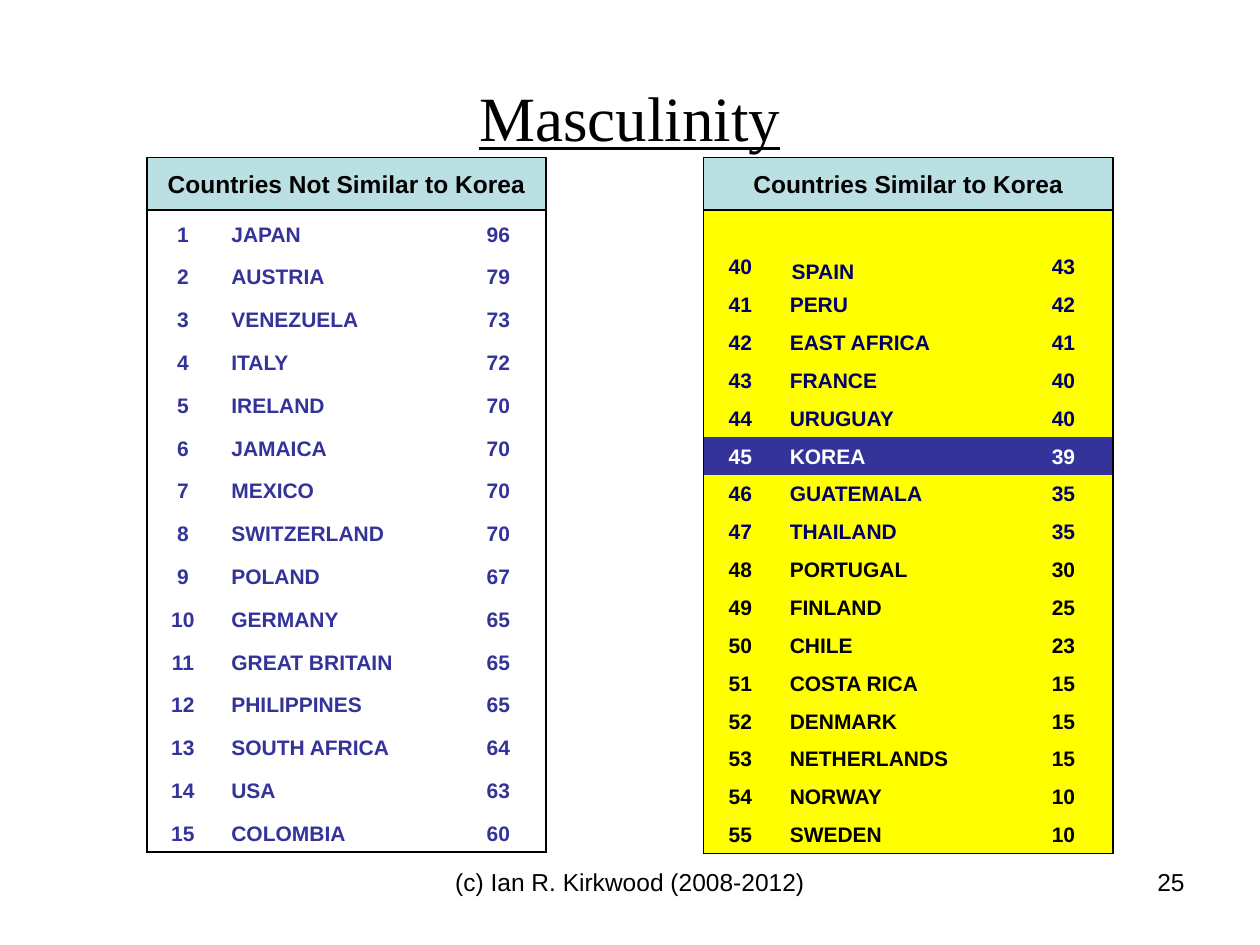
from dataclasses import dataclass

from lxml import etree
from pptx import Presentation
from pptx.dml.color import RGBColor
from pptx.enum.shapes import MSO_SHAPE
from pptx.enum.text import MSO_ANCHOR, PP_ALIGN
from pptx.oxml.ns import qn
from pptx.util import Inches, Pt

RECT = MSO_SHAPE.RECTANGLE
LEFT, CENTER, RIGHT = PP_ALIGN.LEFT, PP_ALIGN.CENTER, PP_ALIGN.RIGHT
TOP, MIDDLE, BOTTOM = MSO_ANCHOR.TOP, MSO_ANCHOR.MIDDLE, MSO_ANCHOR.BOTTOM
TITLE_ONLY = 5
NO_GRID_STYLE = "{2D5ABB26-0587-4C30-8999-92F81FD0307C}"
COLS, ROWS = 120, 90  # layout grid over the whole slide


@dataclass(frozen=True)
class Theme:
    black: str = "000000"
    white: str = "FFFFFF"
    indigo: str = "333399"
    navy: str = "000066"
    yellow: str = "FFFF00"
    header: str = "BBE0E3"
    serif: str = "Times New Roman"
    sans: str = "Arial"
    title_size: int = 36
    label_size: int = 14
    table_size: int = 12


NOT_SIMILAR = [
    ("JAPAN", 96), ("AUSTRIA", 79), ("VENEZUELA", 73), ("ITALY", 72),
    ("IRELAND", 70), ("JAMAICA", 70), ("MEXICO", 70), ("SWITZERLAND", 70),
    ("POLAND", 67), ("GERMANY", 65), ("GREAT BRITAIN", 65),
    ("PHILIPPINES", 65), ("SOUTH AFRICA", 64), ("USA", 63), ("COLOMBIA", 60),
]
# The name for rank 40 sits in its own one-cell table
SIMILAR = [
    ("", 43), ("PERU", 42), ("EAST AFRICA", 41), ("FRANCE", 40),
    ("URUGUAY", 40), ("KOREA", 39), ("GUATEMALA", 35), ("THAILAND", 35),
    ("PORTUGAL", 30), ("FINLAND", 25), ("CHILE", 23), ("COSTA RICA", 15),
    ("DENMARK", 15), ("NETHERLANDS", 15), ("NORWAY", 10), ("SWEDEN", 10),
]


class SlideBuilder:
    def __init__(self, prs, theme):
        self.prs, self.theme = prs, theme
        self.s = prs.slides.add_slide(prs.slide_layouts[TITLE_ONLY])

    def box(self, col, row, cols, rows):
        w, h = self.prs.slide_width / COLS, self.prs.slide_height / ROWS
        return [round(v) for v in (col * w, row * h, cols * w, rows * h)]

    def add_text(self, tf, text, align=LEFT, color=None, **fmt):
        p = tf.paragraphs[0]
        p.alignment = align
        r = p.add_run()
        r.text = text
        values = {"name": self.theme.sans, "size": self.theme.label_size, **fmt}
        values["size"] = Pt(values["size"])
        for key, value in values.items():
            setattr(r.font, key, value)
        r.font.color.rgb = RGBColor.from_string(color or self.theme.black)
        return p

    def title(self, text, grid):
        sp = self.s.shapes.title
        sp.left, sp.top, sp.width, sp.height = self.box(*grid)
        sp.text_frame.vertical_anchor = MIDDLE
        self.add_text(sp.text_frame, text, CENTER, name=self.theme.serif,
                      size=self.theme.title_size, underline=True)

    def label(self, text, grid, align):
        tf = self.s.shapes.add_textbox(*self.box(*grid)).text_frame
        tf.word_wrap = True
        tf.vertical_anchor = TOP
        self.add_text(tf, text, align)

    def header(self, text, grid):
        sp = self.s.shapes.add_shape(RECT, *self.box(*grid))
        sp.shadow.inherit = False
        sp.fill.solid()
        sp.fill.fore_color.rgb = RGBColor.from_string(self.theme.header)
        sp.line.color.rgb = RGBColor.from_string(self.theme.black)
        sp.line.width = Pt(0.75)
        sp.text_frame.word_wrap = False
        sp.text_frame.vertical_anchor = MIDDLE
        self.add_text(sp.text_frame, text, CENTER, bold=True)

    def plain_table(self, rows, cols, grid):
        frame = self.s.shapes.add_table(rows, cols, *self.box(*grid))
        table = frame.table
        table.first_row = table.horz_banding = False
        frame._element.find(".//" + qn("a:tableStyleId")).text = NO_GRID_STYLE
        return frame

    def cell(self, cell, text, color, align=LEFT, fill=None):
        cell.vertical_anchor = BOTTOM
        if fill:
            cell.fill.solid()
            cell.fill.fore_color.rgb = RGBColor.from_string(fill)
        else:
            cell.fill.background()
        if text:
            return self.add_text(cell.text_frame, text, align, color,
                                 size=self.theme.table_size, bold=True)

    def border(self, cell, sides):
        tcPr = cell._tc.get_or_add_tcPr()
        for side in sides:
            ln = etree.SubElement(tcPr, qn("a:ln" + side), w=str(Pt(1)))
            fill = etree.SubElement(ln, qn("a:solidFill"))
            etree.SubElement(fill, qn("a:srgbClr"), val=self.theme.black)

    def ranking(self, data, first_rank, grid, heights, style, hanging=0):
        frame = self.plain_table(len(data), 3, grid)
        table, (_, _, width, height) = frame.table, self.box(*grid)
        for column, share in zip(table.columns, (0.18, 0.64, 0.18)):
            column.width = round(width * share)
        for i, (name, score) in enumerate(data):
            table.rows[i].height = Inches(heights[i])
            rank = first_rank + i
            color, fill = style(rank)
            for j, value in enumerate((rank, name, score)):
                cell = table.cell(i, j)
                edges = {"L": j == 0, "R": j == 2,
                         "T": i == 0, "B": i == len(data) - 1}
                self.border(cell, [side for side, on in edges.items() if on])
                p = self.cell(cell, str(value), color,
                              CENTER if j == 0 else LEFT, fill)
                if hanging and p is not None:
                    pPr = p._p.get_or_add_pPr()
                    pPr.set("marL", str(Inches(hanging)))
                    pPr.set("indent", str(-Inches(hanging)))
        frame.height = height

    def single_cell(self, text, grid, color, inset):
        cell = self.plain_table(1, 1, grid).table.cell(0, 0)
        cell.margin_left = Inches(inset)
        self.cell(cell, text, color)


def main():
    prs = Presentation()
    prs.slide_width, prs.slide_height = Inches(10), Inches(7.5)
    t = Theme()
    b = SlideBuilder(prs, t)

    def similar_style(rank):
        if rank == 45:  # Korea
            return t.white, t.indigo
        return (t.navy if rank < 48 else t.black), t.yellow

    # Footer and page number
    b.label("(c) Ian R. Kirkwood (2008-2012)", (41, 82, 38, 6.25), CENTER)
    b.label("25", (86, 82, 28, 6.25), RIGHT)

    # Title
    b.title("Masculinity", (6, 3.6, 108, 15))

    # Rankings
    b.ranking(NOT_SIMILAR, 1, (14, 20, 38, 61), [0.34] * len(NOT_SIMILAR),
              lambda rank: (t.indigo, None), hanging=0.38)
    b.ranking(SIMILAR, 40, (67, 20, 39, 61.2),
              [0.6] + [0.26] * (len(SIMILAR) - 1), similar_style)
    b.single_cell("SPAIN", (73, 24, 17.6, 3.6), t.navy, inset=0.2)

    # Table headings
    b.header("Countries Similar to Korea", (67, 15, 39, 5))
    b.header("Countries Not Similar to Korea", (14, 15, 38, 5))

    prs.save("out.pptx")


if __name__ == "__main__":
    main()
